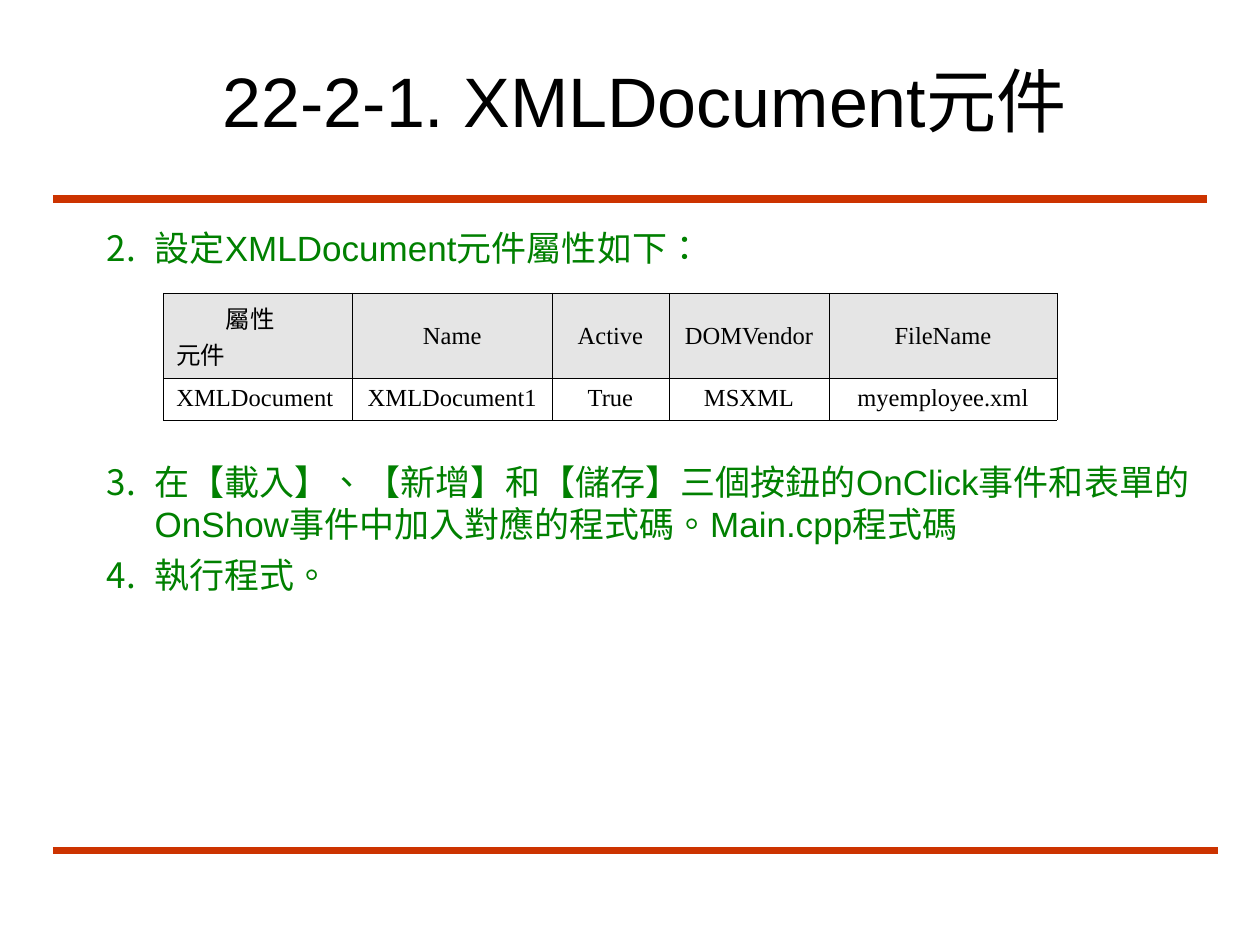
import pptx
import pptx.util
import pptx.dml.color
import pptx.enum.shapes
import pptx.enum.text
import pptx.oxml.ns
import lxml.etree

Inches, Pt = pptx.util.Inches, pptx.util.Pt
RGBColor = pptx.dml.color.RGBColor
ANCHOR = pptx.enum.text.MSO_ANCHOR
ALIGN = pptx.enum.text.PP_ALIGN

RED = RGBColor(0xCC, 0x33, 0x00)
GREEN = RGBColor(0x00, 0x80, 0x00)
BLACK = RGBColor(0x00, 0x00, 0x00)
GRAY = RGBColor(0xE5, 0xE5, 0xE5)
CJK_FONT = "Noto Sans CJK TC"


def add_element(parent, tag, **attributes):
    element = lxml.etree.SubElement(parent, pptx.oxml.ns.qn(tag))
    for name, value in attributes.items():
        element.set(name, str(value))
    return element


def format_runs(paragraph, font_name, size, color):
    for run in paragraph.runs:
        run.font.name = font_name
        run.font.size = Pt(size)
        run.font.color.rgb = color
        # Traditional Chinese centres its punctuation marks
        run.font._element.set("lang", "zh-TW")
        add_element(run.font._element, "a:ea", typeface=CJK_FONT)


presentation = pptx.Presentation()
presentation.slide_width = Inches(10)
presentation.slide_height = Inches(7.5)
slide = presentation.slides.add_slide(presentation.slide_layouts[6])

# Red rules below the title and at the foot
for right, top in [(9.58, 1.58), (9.67, 6.75)]:
    rule = slide.shapes.add_connector(
        pptx.enum.shapes.MSO_CONNECTOR.STRAIGHT,
        Inches(0.42), Inches(top), Inches(right), Inches(top))
    rule.line.color.rgb = RED
    rule.line.width = Pt(4.5)
    add_element(rule._element.spPr, "a:effectLst")

# Title
title = slide.shapes.add_textbox(Inches(1.67), Inches(0.33), Inches(7.58), Inches(0.92))
title.text_frame.word_wrap = True
title.text_frame.vertical_anchor = ANCHOR.MIDDLE
title.text_frame.text = "22-2-1. XMLDocument元件"
format_runs(title.text_frame.paragraphs[0], "Arial", 40, BLACK)

# Numbered steps; the large space before step 3 leaves room for the table
steps = [
    ("設定XMLDocument元件屬性如下：", 0),
    ("在【載入】、【新增】和【儲存】三個按鈕的OnClick事件和表單的"
     "OnShow事件中加入對應的程式碼。Main.cpp程式碼", 109.5),
    ("執行程式。", 5),
]
body = slide.shapes.add_textbox(Inches(0.25), Inches(1.75), Inches(9.5), Inches(4.91))
body.text_frame.word_wrap = True
for index, (text, space_before) in enumerate(steps):
    paragraph = body.text_frame.paragraphs[0] if index == 0 else body.text_frame.add_paragraph()
    paragraph.text = text
    properties = paragraph._element.get_or_add_pPr()
    properties.set("marL", str(Inches(0.88)))
    properties.set("indent", str(Inches(-0.38)))
    bullet_color = add_element(properties, "a:buClr")
    add_element(bullet_color, "a:srgbClr", val=GREEN)
    add_element(properties, "a:buFont", typeface=CJK_FONT)
    add_element(properties, "a:buAutoNum", type="arabicPeriod", startAt=2)
    paragraph.space_before = Pt(space_before)
    format_runs(paragraph, "Arial", 20, GREEN)

# Property table
rows = [
    ["屬性\n元件", "Name", "Active", "DOMVendor", "FileName"],
    ["XMLDocument", "XMLDocument1", "True", "MSXML", "myemployee.xml"],
]
column_widths = [1.5, 1.58, 0.93, 1.27, 1.81]
row_heights = [0.67, 0.33]
table = slide.shapes.add_table(
    len(rows), len(column_widths), Inches(1.3), Inches(2.33),
    Inches(sum(column_widths)), Inches(sum(row_heights))).table
table.first_row = False
table.horz_banding = False
for column, width in zip(table.columns, column_widths):
    column.width = Inches(width)
for row, height in zip(table.rows, row_heights):
    row.height = Inches(height)

for row_index, row in enumerate(rows):
    for column_index, text in enumerate(row):
        cell = table.cell(row_index, column_index)
        cell.text_frame.text = text
        is_corner = row_index == 0 and column_index == 0
        for paragraph in cell.text_frame.paragraphs:
            paragraph.alignment = ALIGN.LEFT if column_index == 0 else ALIGN.CENTER
            format_runs(paragraph, CJK_FONT if is_corner else "Times New Roman", 14, BLACK)
        if is_corner:
            cell.text_frame.paragraphs[0]._element.get_or_add_pPr().set("marL", str(Inches(0.39)))

        # Thin borders with a thicker top edge
        cell_properties = cell._tc.get_or_add_tcPr()
        for tag in ["a:lnL", "a:lnR", "a:lnT", "a:lnB"]:
            is_top_edge = tag == "a:lnT" and row_index == 0
            border = add_element(cell_properties, tag, w=Pt(0.96 if is_top_edge else 0.45))
            border_fill = add_element(border, "a:solidFill")
            add_element(border_fill, "a:srgbClr", val=BLACK)

        if row_index == 0:
            cell.vertical_anchor = ANCHOR.MIDDLE
            cell.fill.solid()
            cell.fill.fore_color.rgb = GRAY
        else:
            cell.fill.background()

presentation.save("out.pptx")
